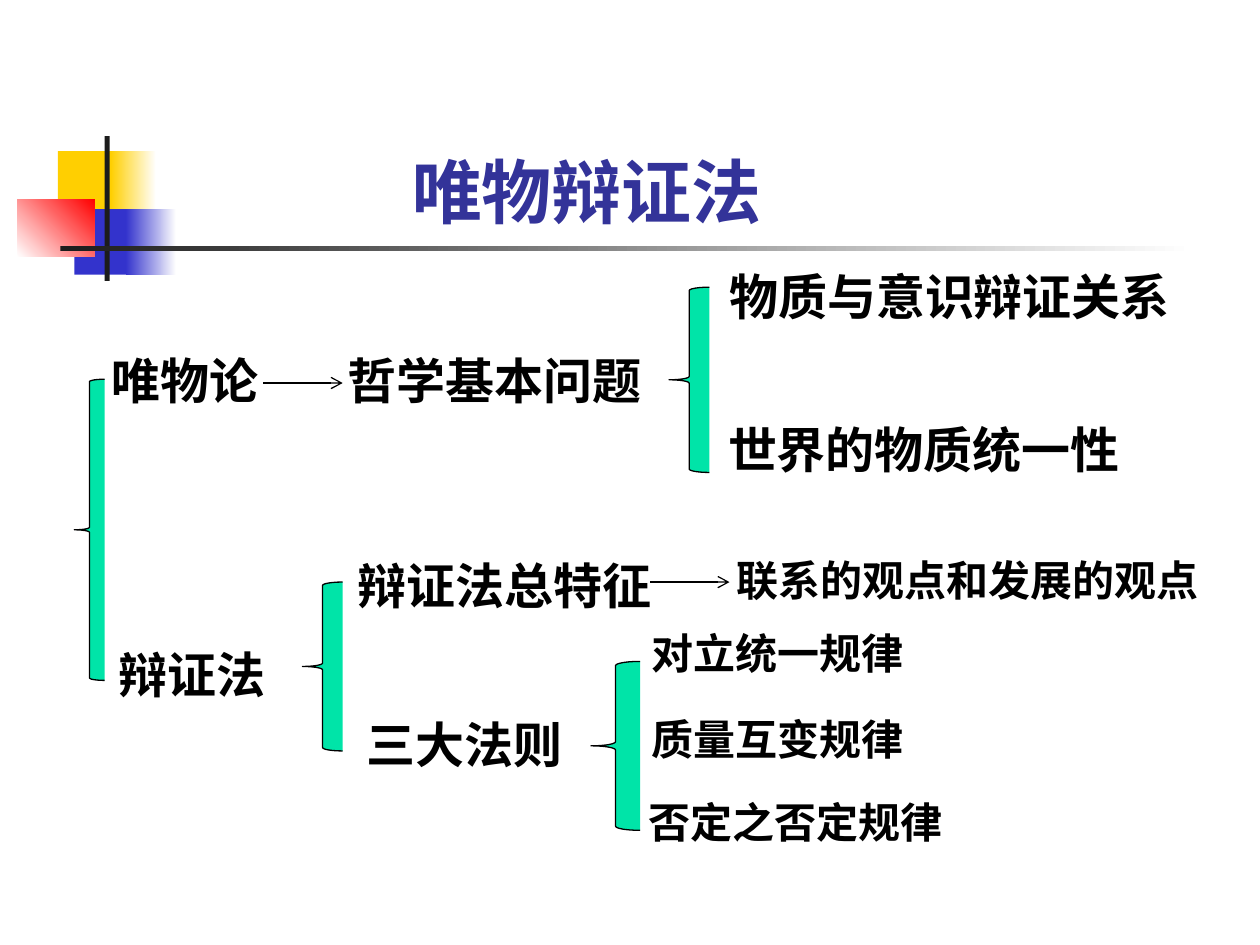
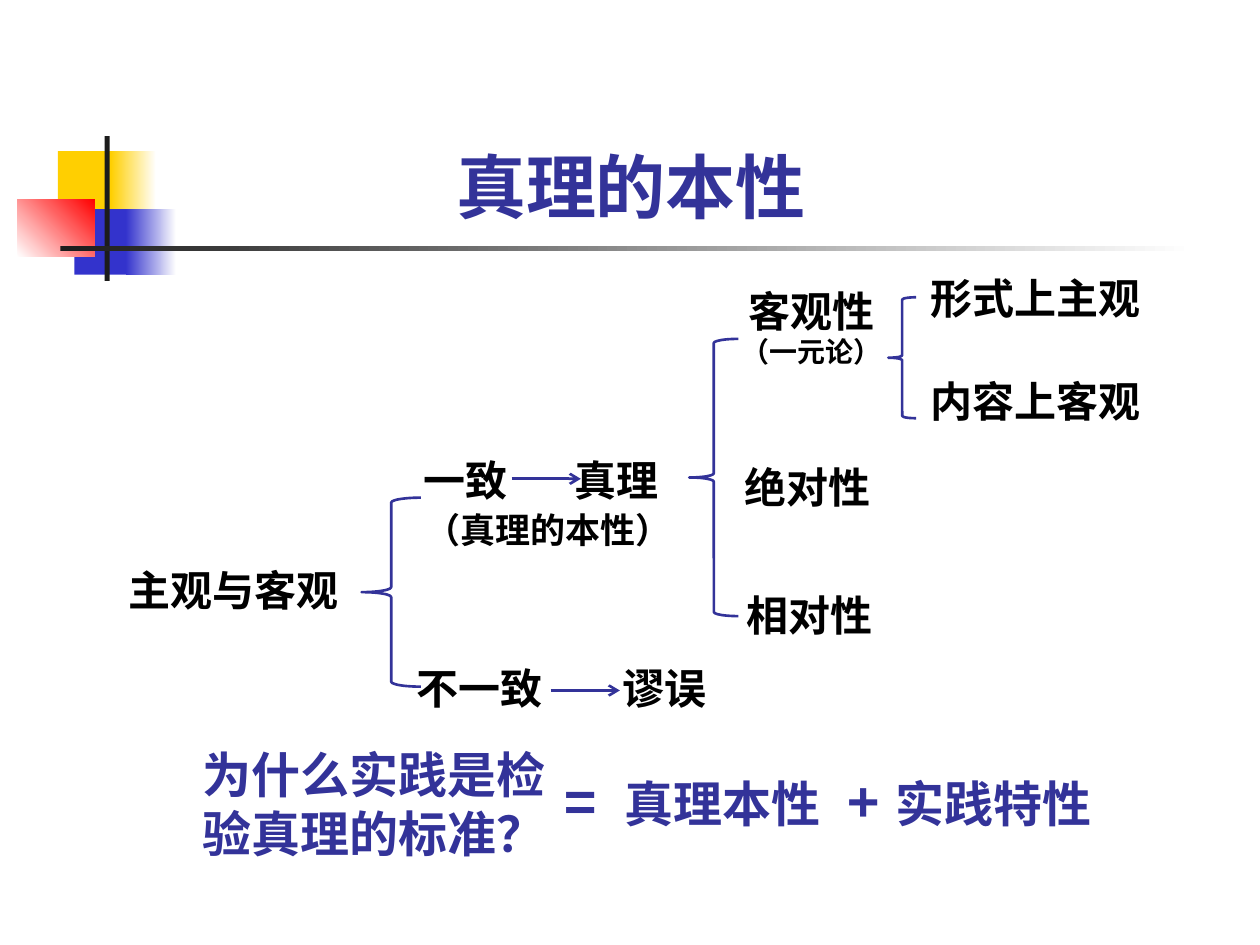
from lxml import etree
from pptx import Presentation
from pptx import util as u
from pptx.dml.color import RGBColor
from pptx.enum import shapes, text
from pptx.oxml.ns import qn

PX = 9144  # EMU per px, 100 px to the inch
LATIN, HAN = "Arial", "Noto Sans CJK SC"
BLACK, WHITE, INDIGO, GREEN = "000000", "FFFFFF", "333399", "00E4A8"
YELLOW, BLUE, RED, CHARCOAL = "FFCF01", "3333CC", "FF0000", "1C1C1C"
LINE_HEIGHT = 1.2


def px(*lengths):
    return [u.Emu(length * PX) for length in lengths]


def color(hex_string):
    return RGBColor.from_string(hex_string)


def write(shape, content, size=28, ink=BLACK, latin=LATIN, center=False):
    """Fill a shape with bold text, one paragraph per line."""
    frame = shape.text_frame
    frame.text = content
    frame.word_wrap = True
    frame.auto_size = text.MSO_AUTO_SIZE.NONE
    frame.vertical_anchor = text.MSO_ANCHOR.TOP
    # Spare room on the right keeps each line whole
    frame.margin_left, frame.margin_right = px(0 if center else 10, 0)
    frame.margin_top, frame.margin_bottom = px(5, 5)
    for paragraph in frame.paragraphs:
        paragraph.alignment = text.PP_ALIGN.CENTER if center else text.PP_ALIGN.LEFT
        paragraph.line_spacing = u.Pt(round(size * LINE_HEIGHT, 1))
        for run in paragraph.runs:
            run.font.size, run.font.bold, run.font.name = u.Pt(size), True, latin
            run.font.color.rgb = color(ink)
            east_asian = etree.SubElement(run.font._element, qn("a:ea"))
            east_asian.set("typeface", HAN)


def add_label(slide, box, content, **style):
    write(slide.shapes.add_textbox(*px(*box)), content, **style)


def add_labels(slide, labels, height, **style):
    """Place labels given as (left, top, width, text)."""
    for left, top, width, content in labels:
        add_label(slide, (left, top, width, height), content, **style)


def add_block(slide, box, start, end=None, angle=0):
    """Rectangle in one colour, or fading from start to end."""
    block = slide.shapes.add_shape(shapes.MSO_SHAPE.RECTANGLE, *px(*box))
    block.shadow.inherit = False
    block.line.fill.background()
    if end is None:
        block.fill.solid()
        block.fill.fore_color.rgb = color(start)
        return
    block.fill.gradient()
    block.fill.gradient_angle = angle
    for stop, hex_string in zip(block.fill.gradient_stops, (start, end)):
        stop.color.rgb = color(hex_string)


def add_brace(slide, box, ink, width, fill=None):
    brace = slide.shapes.add_shape(shapes.MSO_SHAPE.LEFT_BRACE, *px(*box))
    brace.shadow.inherit = False
    brace.line.color.rgb = color(ink)
    brace.line.width = u.Pt(width)
    if fill:
        brace.fill.solid()
        brace.fill.fore_color.rgb = color(fill)
    else:
        brace.fill.background()


def add_arrow(slide, left, top, length, ink, width):
    arrow = slide.shapes.add_connector(
        shapes.MSO_CONNECTOR.STRAIGHT, *px(left, top, left + length, top))
    arrow.line.color.rgb = color(ink)
    arrow.line.width = u.Pt(width)
    etree.SubElement(arrow.line._get_or_add_ln(), qn("a:tailEnd")).set("type", "arrow")
    etree.SubElement(arrow._element.spPr, qn("a:effectLst"))


def add_ornament(slide, left, top):
    """Coloured squares with the crossing bars."""
    for x, y, width, height, *fill in (
        (32, 12, 48, 52, YELLOW),
        (74, 12, 36, 52, YELLOW, WHITE),
        (45, 58, 46, 52, BLUE),
        (86, 58, 40, 52, BLUE, WHITE),
        (0, 50, 61, 46, WHITE, RED, 45),
        (69, 0, 4, 115, CHARCOAL),
        (34, 87, 900, 4, CHARCOAL, WHITE),
    ):
        add_block(slide, (left + x, top + y, width, height), *fill)


def add_titled_slide(presentation, title, box):
    slide = presentation.slides.add_slide(presentation.slide_layouts[5])
    add_ornament(slide, 14, 108)
    heading = slide.shapes.title
    heading.left, heading.top, heading.width, heading.height = px(*box)
    write(heading, title, size=40, ink=INDIGO)
    return slide


def build_dialectics(presentation):
    slide = add_titled_slide(presentation, "唯物辩证法", (317, 113, 297, 77))
    # Main branches
    add_labels(slide, (
        (79, 273, 136, "唯物论"),
        (84, 507, 136, "辩证法"),
        (266, 273, 253, "哲学基本问题"),
        (569, 207, 369, "物质与意识辩证关系"),
        (568, 328, 330, "世界的物质统一性"),
        (274, 436, 253, "辩证法总特征"),
        (281, 562, 175, "三大法则"),
    ), 57)
    # Viewpoints and the three laws
    add_labels(slide, (
        (575, 435, 386, "联系的观点和发展的观点"),
        (507, 493, 220, "对立统一规律"),
        (507, 561, 220, "质量互变规律"),
        (505, 627, 253, "否定之否定规律"),
    ), 50, size=24)
    # Connections
    for left, top in ((209, 304), (516, 462)):
        add_arrow(slide, left, top, 63, BLACK, 0.75)
    for box in ((531, 228, 32, 147), (240, 462, 32, 134),
                (59, 301, 24, 239), (469, 525, 39, 134)):
        add_brace(slide, box, BLACK, 0.75, GREEN)


def add_equation(slide, left, top):
    """Question on the left, its answer as a sum on the right."""
    add_label(slide, (left, top, 292, 104), "为什么实践是检\n验真理的标准？",
              ink=INDIGO, latin=HAN, center=True)
    for x, width, sign in ((278, 63, "="), (483, 102, "+")):
        add_label(slide, (left + x, top + 17, width, 64), sign,
                  size=32, ink=INDIGO, center=True)
    for x, term in ((335, "真理本性"), (550, "实践特性")):
        add_label(slide, (left + x, top + 23, 175, 57), term, ink=INDIGO)


def build_truth(presentation):
    slide = add_titled_slide(presentation, "真理的本性", (352, 109, 297, 77))
    # Tree of terms
    add_labels(slide, (
        (92, 443, 186, "主观与客观"),
        (326, 356, 94, "一致"),
        (446, 356, 94, "真理"),
        (581, 361, 127, "绝对性"),
        (583, 463, 127, "相对性"),
        (729, 211, 194, "形式上主观"),
        (729, 293, 194, "内容上客观"),
        (321, 521, 127, "不一致"),
        (484, 521, 86, "谬误"),
        (584, 222, 127, "客观性"),
    ), 50, size=24)
    # Side remarks
    add_label(slide, (579, 261, 131, 37), "（一元论）", size=16)
    add_label(slide, (328, 399, 215, 44), "（真理的本性）", size=20, latin=HAN)
    # Connections
    for box in ((287, 395, 47, 150), (547, 269, 39, 220), (705, 236, 22, 96)):
        add_brace(slide, box, INDIGO, 1.5)
    for left, top in ((406, 380), (437, 548)):
        add_arrow(slide, left, top, 55, INDIGO, 1.5)
    add_equation(slide, 151, 586)


def main():
    presentation = Presentation()
    presentation.slide_width, presentation.slide_height = px(1000, 750)
    build_dialectics(presentation)
    build_truth(presentation)
    presentation.save("out.pptx")


if __name__ == "__main__":
    main()
